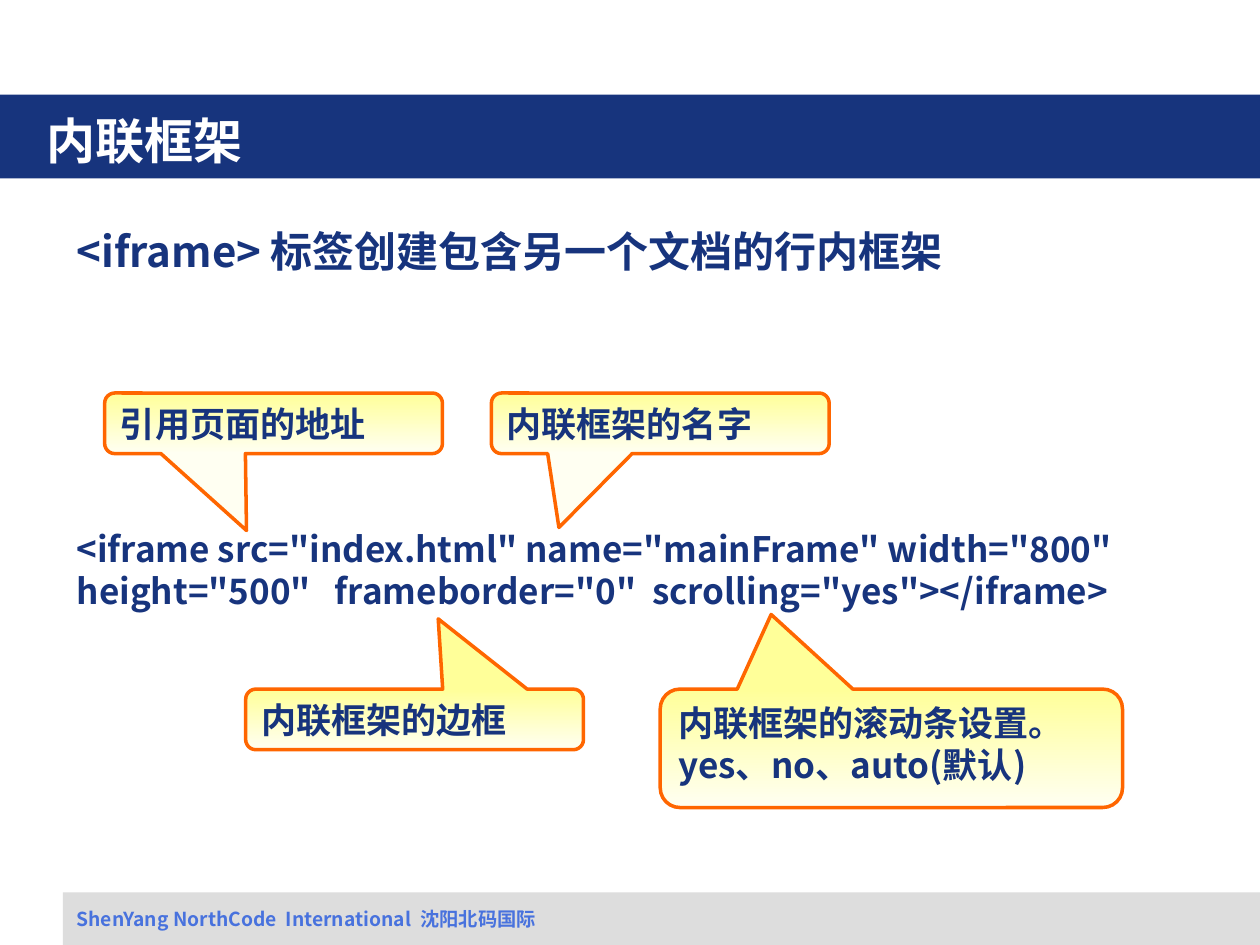
import pptx
import pptx.dml.color
import pptx.enum.shapes
import pptx.enum.text
import pptx.oxml.ns
import pptx.util
from lxml import etree

Pt = pptx.util.Pt
SHAPE = pptx.enum.shapes.MSO_SHAPE
ANCHOR = pptx.enum.text.MSO_ANCHOR
NAVY, ORANGE = "17347D", "FF6600"


def color(value):
    return pptx.dml.color.RGBColor.from_string(value)


class Deck:
    font = "Noto Sans CJK SC"

    def __init__(self, width, height):
        self.prs = pptx.Presentation()
        self.prs.slide_width, self.prs.slide_height = Pt(width), Pt(height)
        self.s = self.prs.slides.add_slide(self.prs.slide_layouts[5])

    def fill_text(self, tf, lines, anchor=ANCHOR.TOP):
        """Fill a frame with lines of (text, size, colour, space before)."""
        tf.word_wrap = True
        tf.auto_size = pptx.enum.text.MSO_AUTO_SIZE.NONE
        tf.vertical_anchor = anchor
        tf.margin_left = tf.margin_right = Pt(7.2)
        tf.margin_top = tf.margin_bottom = Pt(3.6)
        for i, (text, size, fill, before) in enumerate(lines):
            p = tf.add_paragraph() if i else tf.paragraphs[0]
            p.alignment = pptx.enum.text.PP_ALIGN.LEFT
            p.line_spacing = Pt(size * 1.2)
            p.space_before = Pt(before)
            r = p.add_run()
            r.text = text
            r.font.name, r.font.size, r.font.bold = self.font, Pt(size), True
            r.font.color.rgb = color(fill)
            ea = etree.SubElement(r.font._element, pptx.oxml.ns.qn("a:ea"))
            ea.set("typeface", self.font)

    def band(self, x, y, w, h, fill):
        sp = self.s.shapes.add_shape(SHAPE.RECTANGLE, Pt(x), Pt(y), Pt(w), Pt(h))
        sp.shadow.inherit = False
        sp.fill.solid()
        sp.fill.fore_color.rgb = color(fill)
        sp.line.fill.background()

    def title(self, x, y, w, h, text):
        sp = self.s.shapes.title
        sp.left, sp.top, sp.width, sp.height = Pt(x), Pt(y), Pt(w), Pt(h)
        self.fill_text(sp.text_frame, [(text, 28, "FFFFFF", 0)], ANCHOR.MIDDLE)
        self.s.shapes._spTree.append(sp._element)  # in front of the bands

    def text(self, x, y, w, h, lines):
        sp = self.s.shapes.add_textbox(Pt(x), Pt(y), Pt(w), Pt(h))
        self.fill_text(sp.text_frame, lines)

    def callout(self, x, y, w, h, tip, lines):
        """Add a rounded callout; tip is its offset from the centre, as a share of the size."""
        sp = self.s.shapes.add_shape(SHAPE.ROUNDED_RECTANGULAR_CALLOUT,
                                     Pt(x), Pt(y), Pt(w), Pt(h))
        sp.shadow.inherit = False
        sp.adjustments[0], sp.adjustments[1] = tip
        sp.fill.gradient()
        sp.fill.gradient_angle = 270
        for stop, fill, position in zip(sp.fill.gradient_stops, ("FFFF99", "FFFFF2"), (0, 1)):
            stop.color.rgb = color(fill)
            stop.position = position
        sp.line.color.rgb = color(ORANGE)
        sp.line.width = Pt(2)
        self.fill_text(sp.text_frame, [(line, 20, NAVY, 0) for line in lines])


def main():
    deck = Deck(720, 540)
    deck.band(36, 510, 684, 30, "DDDDDD")
    deck.band(0, 54, 720, 48, NAVY)
    deck.title(19.4, 57.6, 594.7, 44.6, "内联框架")
    deck.text(36.7, 514.8, 657.4, 20.9,
              [("ShenYang NorthCode  International  沈阳北码国际", 11, "4872DD", 0)])
    deck.text(36.7, 125.3, 671.8, 228.2, [
        ("<iframe> 标签创建包含另一个文档的行内框架", 24, NAVY, 0),
        ('<iframe src="index.html" name="mainFrame" width="800" '
         'height="500"   frameborder="0"  scrolling="yes"></iframe>', 20, NAVY, 144),
    ])
    upper, lower, width, height = 224.6, 393.8, 193, 34.6
    deck.callout(59.8, upper, width, height, (-0.08, 1.77), ["引用页面的地址"])
    deck.callout(280.8, upper, width, height, (-0.3, 1.72), ["内联框架的名字"])
    deck.callout(140.4, lower, width, height, (0.07, -1.66), ["内联框架的边框"])
    deck.callout(377.3, lower, 264.2, 67.7, (-0.26, -1.13),
                 ["内联框架的滚动条设置。", "yes、no、auto(默认)"])
    deck.prs.save("out.pptx")


if __name__ == "__main__":
    main()
